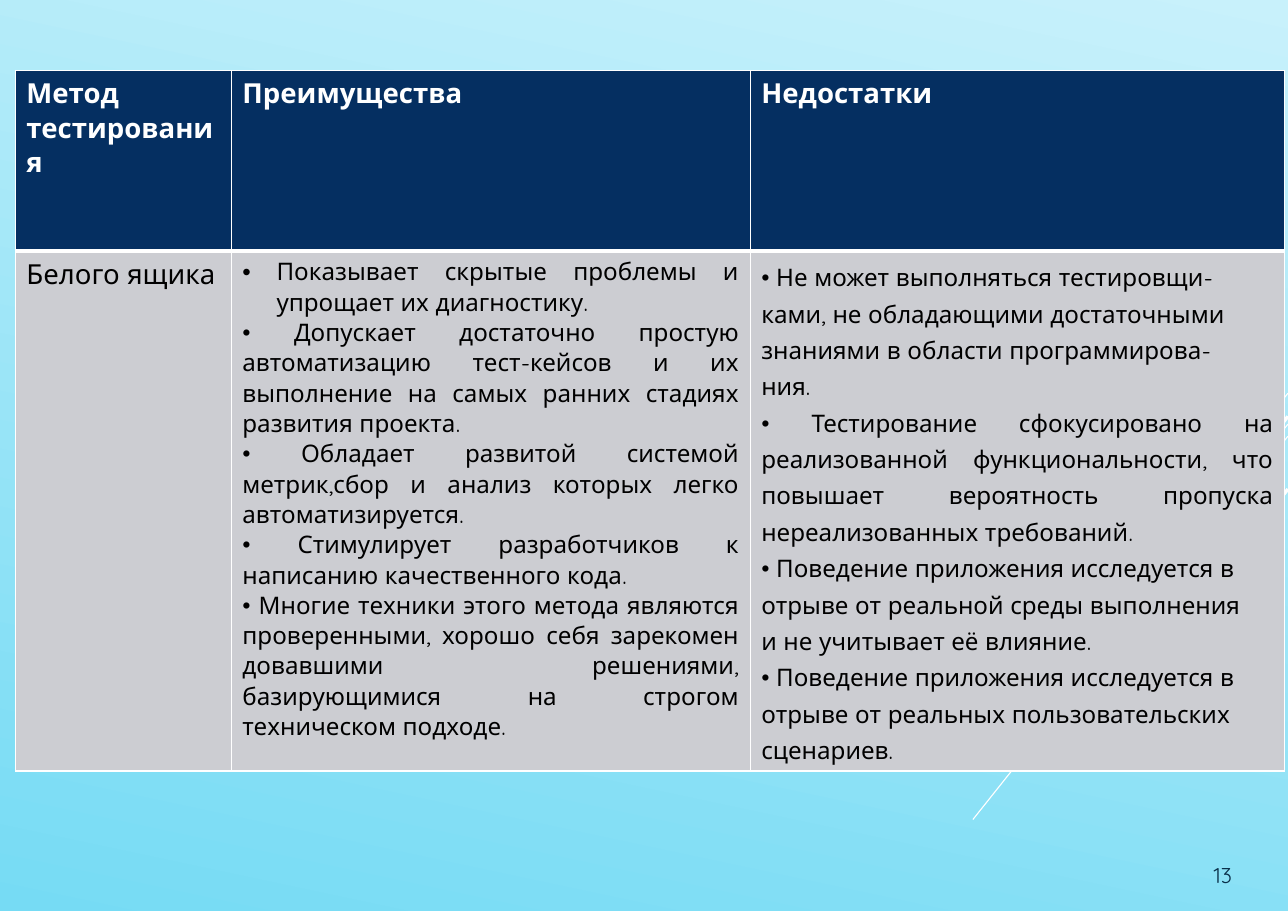
from lxml.etree import SubElement
from pptx import Presentation
from pptx.dml.color import RGBColor
from pptx.enum.shapes import MSO_CONNECTOR
from pptx.enum.text import MSO_ANCHOR, PP_ALIGN
from pptx.oxml import parse_xml
from pptx.oxml.ns import nsdecls, qn
from pptx.util import Pt

PX = 9144  # 100 px to the inch
FONT = "Quicksand"
WHITE, BLACK, NAVY, GREY, INK = "FFFFFF", "000000", "052F61", "CCCDD2", "0A304A"

HEADERS = ["Метод тестирования", "Преимущества", "Недостатки"]
METHOD = ["Белого ящика"]
ADVANTAGES = [
    "Показывает скрытые проблемы и упрощает их диагностику.",
    "• Допускает достаточно простую автоматизацию тест-кейсов и их выполнение на самых ранних стадиях развития проекта.",
    "• Обладает развитой системой метрик,сбор и анализ которых легко автоматизируется.",
    "• Стимулирует разработчиков к написанию качественного кода.",
    "• Многие техники этого метода являются проверенными, хорошо себя зарекомен довавшими решениями, базирующимися на строгом техническом подходе.",
]
DRAWBACKS = [
    "• Не может выполняться тестировщи-",
    "ками, не обладающими достаточными",
    "знаниями в области программирова-",
    "ния.",
    "• Тестирование сфокусировано на реализованной функциональности, что повышает вероятность пропуска нереализованных требований.",
    "• Поведение приложения исследуется в",
    "отрыве от реальной среды выполнения",
    "и не учитывает её влияние.",
    "• Поведение приложения исследуется в",
    "отрыве от реальных пользовательских",
    "сценариев.",
]
# start y, end x, end y, width in points; every ray starts at the right edge
RAYS = [
    (357, 1082, 467, 0.75),
    (385, 883, 744, 0.75),
    (396, 987, 625, 0.75),
    (378, 1002, 588, 2.25),
    (444, 1047, 597, 2.25),
]


def px(*lengths):
    return [length * PX for length in lengths]


def color(value):
    return RGBColor.from_string(value)


def write(tf, lines, size, ink, bold=False, **paragraph_format):
    for i, line in enumerate(lines):
        p = tf.add_paragraph() if i else tf.paragraphs[0]
        for name, value in paragraph_format.items():
            setattr(p, name, value)
        r = p.add_run()
        r.text = line
        for name, value in {"name": FONT, "size": Pt(size), "bold": bold}.items():
            setattr(r.font, name, value)
        r.font.color.rgb = color(ink)


def paint_background(slide):
    fill = slide.background.fill
    fill.gradient()
    fill.gradient_angle = 360 - 102
    for stop, position, value in zip(fill.gradient_stops, (0, 1), ("C8F1FB", "76DBF4")):
        stop.position = position
        stop.color.rgb = color(value)


def add_rays(slide, right):
    for y1, x2, y2, width in RAYS:
        s = slide.shapes.add_connector(MSO_CONNECTOR.STRAIGHT, *px(right, y1, x2, y2))
        s.line.color.rgb = color(WHITE)
        s.line.width = Pt(width)
        SubElement(s._element.spPr, qn("a:effectLst"))


def add_page_number(slide, x, y, w, h):
    tf = slide.shapes.add_textbox(*px(x, y, w, h)).text_frame
    tf.word_wrap = True
    tf.vertical_anchor = MSO_ANCHOR.BOTTOM
    write(tf, ["13"], 14, INK, alignment=PP_ALIGN.RIGHT)


def style_cell(cell, fill, bottom=1):
    cell.fill.solid()
    cell.fill.fore_color.rgb = color(fill)
    tcPr = cell._tc.get_or_add_tcPr()
    for i, (side, width) in enumerate({"L": 1, "R": 1, "T": 1, "B": bottom}.items()):
        tcPr.insert(i, parse_xml(
            f'<a:ln{side} {nsdecls("a")} w="{Pt(width)}"><a:solidFill>'
            f'<a:srgbClr val="{WHITE}"/></a:solidFill></a:ln{side}>'))


def add_hanging_bullet(p, indent):
    pPr = p._p.get_or_add_pPr()
    pPr.set("marL", str(indent * PX))
    pPr.set("indent", str(-indent * PX))
    SubElement(pPr, qn("a:buFont"), typeface="Arial")
    SubElement(pPr, qn("a:buChar"), char="•")


def add_methods_table(slide, x, y, columns, rows):
    table = slide.shapes.add_table(
        len(rows), len(columns), *px(x, y, sum(columns), sum(rows))).table
    table.horz_banding = False
    for tracks, name, lengths in ((table.columns, "width", columns),
                                  (table.rows, "height", rows)):
        for track, length in zip(tracks, lengths):
            setattr(track, name, length * PX)

    for col, header in enumerate(HEADERS):
        cell = table.cell(0, col)
        style_cell(cell, NAVY, bottom=3)
        write(cell.text_frame, [header], 18, WHITE, bold=True)

    justified = {"alignment": PP_ALIGN.JUSTIFY}
    body = [
        (METHOD, 18, {}),
        (ADVANTAGES, 15.8, justified),
        (DRAWBACKS, 15.8, {**justified, "line_spacing": 1.2}),
    ]
    for col, (lines, size, paragraph_format) in enumerate(body):
        cell = table.cell(1, col)
        style_cell(cell, GREY)
        write(cell.text_frame, lines, size, BLACK, **paragraph_format)
    add_hanging_bullet(table.cell(1, 1).text_frame.paragraphs[0], 31)


def main():
    width, height = 1169, 827
    prs = Presentation()
    prs.slide_width, prs.slide_height = px(width, height)
    slide = prs.slides.add_slide(prs.slide_layouts[6])
    paint_background(slide)
    add_rays(slide, width)
    add_page_number(slide, 1018, 730, 110, 81)
    add_methods_table(slide, 14, 64, columns=[196, 471, 485], rows=[164, 472])
    prs.save("out.pptx")


if __name__ == "__main__":
    main()
